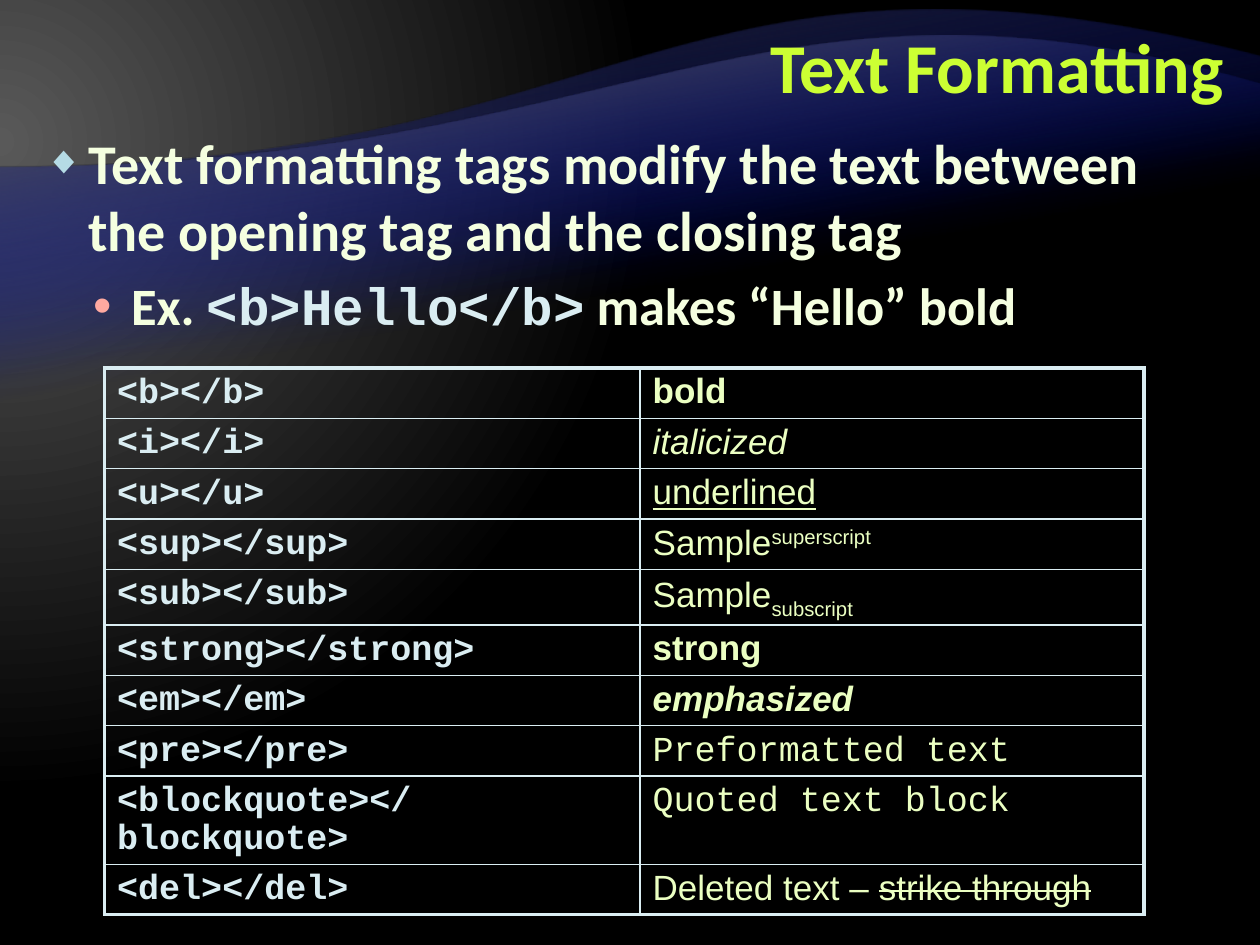
"""Build the Text Formatting slide."""
from pptx import Presentation
from pptx.dml.color import RGBColor
from pptx.enum.text import MSO_ANCHOR, MSO_AUTO_SIZE, PP_ALIGN
from pptx.oxml import parse_xml
from pptx.oxml.ns import nsdecls, qn
from pptx.util import Inches, Pt

RIGHT = PP_ALIGN.RIGHT
TOP, MIDDLE = MSO_ANCHOR.TOP, MSO_ANCHOR.MIDDLE
NO_FIT = MSO_AUTO_SIZE.NONE
COLORS = {
    "title": "CCFF33", "body": "F5FFE0", "code": "DAEDF2", "sample": "EBFFC2",
    "diamond": "B5DBE5", "dot": "FFA9A0", "blue": "000D9E",
    "glow": "595959", "dark": "262626", "black": "000000",
}
HEADING, SANS, MONO = "Calibri", "Arial", "Courier New"
WIDTH, HEIGHT = 10, 7.5
THIN, THICK = 1, 2.25
ROW_HEIGHT = 0.4
TALL_ROWS = {4: 0.44, 8: 0.7}

TAG_ROWS = [
    ("b", [("bold", {"bold": True})]),
    ("i", [("italicized", {"italic": True})]),
    ("u", [("underlined", {"underline": True})]),
    ("sup", [("Sample", {}), ("superscript", {"baseline": "30000"})]),
    ("sub", [("Sample", {}), ("subscript", {"baseline": "-25000"})]),
    ("strong", [("strong", {"bold": True})]),
    ("em", [("emphasized", {"bold": True, "italic": True})]),
    ("pre", [("Preformatted text", {"font": MONO})]),
    ("blockquote", [("Quoted text block", {"font": MONO})]),
    ("del", [("Deleted text – ", {}), ("strike through", {"strike": "sngStrike"})]),
]


def add_span(para, text, font=SANS, size=20, color="sample", bold=False,
             italic=False, underline=False, **attributes):
    """Add a formatted run; extra keywords become run attributes."""
    span = para.add_run()
    span.text = text
    span.font.name = font
    span.font.size = Pt(size)
    span.font.bold = bold
    span.font.italic = italic
    span.font.underline = underline
    span.font.color.rgb = RGBColor.from_string(COLORS[color])
    for name, value in attributes.items():
        span.font._element.set(name, value)


def gradient_xml(stops, direction):
    """Return a gradient fill from (position, color, alpha) stops."""
    marks = "".join(
        f'<a:gs pos="{position * 1000}"><a:srgbClr val="{COLORS[color]}">'
        f'<a:alpha val="{alpha * 1000}"/></a:srgbClr></a:gs>'
        for position, color, alpha in stops)
    return (f'<a:gradFill {nsdecls("a")} rotWithShape="1"><a:gsLst>{marks}'
            f'</a:gsLst>{direction}</a:gradFill>')


class SlideBuilder:
    """Hold the style and the current slide."""

    def __init__(self):
        """Open a deck with one title and content page."""
        self.deck = Presentation()
        self.deck.slide_width = Inches(WIDTH)
        self.deck.slide_height = Inches(HEIGHT)
        self.page = self.deck.slides.add_slide(self.deck.slide_layouts[1])

    def background(self):
        """Fill the page with a glow from the upper left."""
        direction = ('<a:path path="circle"><a:fillToRect l="20000" t="30000" '
                     'r="135000" b="100000"/></a:path>')
        fill = gradient_xml([(0, "glow", 100), (83, "black", 100)], direction)
        self.page.background.fill.solid()
        properties = self.page._element.cSld.bg.bgPr
        properties.replace(properties[0], parse_xml(fill))

    def wave(self, depth, top, bottom, left_edge, controls, color):
        """Draw a half-turned band whose upper edge is a curve."""
        def turned(x, y):
            return Inches(WIDTH - x), Inches(top + bottom - y)

        corners = [(WIDTH, bottom), (0, bottom), (0, left_edge), (WIDTH, top)]
        points = [turned(x, y) for x, y in corners]
        builder = self.page.shapes.build_freeform(*points[0])
        builder.add_line_segments(points[1:], close=True)
        shape = builder.convert_to_shape()
        shape.rotation = 180
        shape.shadow.inherit = False
        shape.line.fill.background()
        shape.fill.background()

        curve_points = [turned(x, y) for x, y in controls] + [points[-1]]
        marks = "".join(f'<a:pt x="{x}" y="{y - Inches(top)}"/>' for x, y in curve_points)
        curve = parse_xml(f'<a:cubicBezTo {nsdecls("a")}>{marks}</a:cubicBezTo>')
        edge = list(shape._element.iter(qn("a:lnTo")))[2]
        edge.getparent().replace(edge, curve)

        fill = gradient_xml([(65, "blue", 0), (100, color, 100)],
                            '<a:lin ang="4800000" scaled="0"/>')
        properties = shape._element.spPr
        properties.replace(properties.find(qn("a:noFill")), parse_xml(fill))
        self.page.shapes._spTree.insert(2 + depth, shape._element)

    def place(self, box, left, top, width, height, anchor):
        """Move a placeholder and return its text frame."""
        box.left, box.top = Inches(left), Inches(top)
        box.width, box.height = Inches(width), Inches(height)
        frame = box.text_frame
        frame.word_wrap = True
        frame.auto_size = NO_FIT
        frame.vertical_anchor = anchor
        return frame

    def title(self, text):
        """Write the title at the upper right."""
        frame = self.place(self.page.shapes.title, 2.64, 0.08, 7.17, 0.99, MIDDLE)
        para = frame.paragraphs[0]
        para.alignment = RIGHT
        para.line_spacing = Pt(40)
        add_span(para, text, HEADING, 40, "title", True)

    def bullet(self, para, symbol, color, percent, margin, hanging):
        """Give a paragraph its bullet and hanging indent."""
        properties = para._p.get_or_add_pPr()
        properties.set("marL", str(Inches(margin)))
        properties.set("indent", str(-Inches(hanging)))
        for xml in (
                f'<a:buClr {nsdecls("a")}><a:srgbClr val="{COLORS[color]}"/></a:buClr>',
                f'<a:buSzPct {nsdecls("a")} val="{percent * 1000}"/>',
                f'<a:buFont {nsdecls("a")} typeface="{SANS}"/>',
                f'<a:buChar {nsdecls("a")} char="{symbol}"/>'):
            properties.append(parse_xml(xml))

    def body(self):
        """Write the rule and its example."""
        frame = self.place(self.page.placeholders[1], 0.25, 0.97, 9.5, 6.28, TOP)
        rule = frame.paragraphs[0]
        self.bullet(rule, "◆", "diamond", 70, 0.35, 0.35)
        rule.space_before = Pt(0)
        add_span(rule, "Text formatting tags modify the text between "
                 "the opening tag and the closing tag", HEADING, 32, "body", True)
        example = frame.add_paragraph()
        example.level = 1
        self.bullet(example, "•", "dot", 100, 0.69, 0.3)
        example.space_before = Pt(6)
        for text, font, color in (("Ex. ", HEADING, "body"),
                                  ("<b>Hello</b>", MONO, "code"),
                                  (" makes “Hello” bold", HEADING, "body")):
            add_span(example, text, font, 30, color, True)

    def cell(self, cell, spans, widths):
        """Write one cell and draw its borders."""
        para = cell.text_frame.paragraphs[0]
        para.line_spacing = 0.95
        for text, style in spans:
            add_span(para, text, **style)
        properties = cell._tc.get_or_add_tcPr()
        for side, width in widths.items():
            properties.append(parse_xml(
                f'<a:ln{side} {nsdecls("a")} w="{Pt(width)}"><a:solidFill>'
                f'<a:srgbClr val="{COLORS["code"]}"/></a:solidFill></a:ln{side}>'))
        cell.fill.background()

    def table(self, rows):
        """Lay out the tags beside their samples."""
        heights = [TALL_ROWS.get(index, ROW_HEIGHT) for index in range(len(rows))]
        table = self.page.shapes.add_table(
            len(rows), 2, Inches(0.83), Inches(2.92),
            Inches(8.25), Inches(sum(heights))).table
        table.first_row = table.horz_banding = False
        table.columns[0].width, table.columns[1].width = Inches(4.25), Inches(4)
        tag_style = {"font": MONO, "color": "code", "bold": True}
        for index, (tag, samples) in enumerate(rows):
            table.rows[index].height = Inches(heights[index])
            contents = ([(f"<{tag}></{tag}>", tag_style)], samples)
            for column, spans in enumerate(contents):
                outer = {"L": column == 0, "R": column == 1,
                         "T": index == 0, "B": index == len(rows) - 1}
                widths = {side: THICK if edge else THIN for side, edge in outer.items()}
                self.cell(table.cell(index, column), spans, widths)


def main():
    """Build and save the deck."""
    slide = SlideBuilder()
    slide.background()
    slide.wave(0, 0.45, 6.53, 1.33, [(5, 1.33), (5.34, -0.75)], "dark")
    slide.wave(1, 0.67, 5.57, 1.33, [(5, 1.33), (5.98, -0.49)], "glow")
    slide.title("Text Formatting")
    slide.body()
    slide.table(TAG_ROWS)
    slide.deck.save("out.pptx")


if __name__ == "__main__":
    main()
